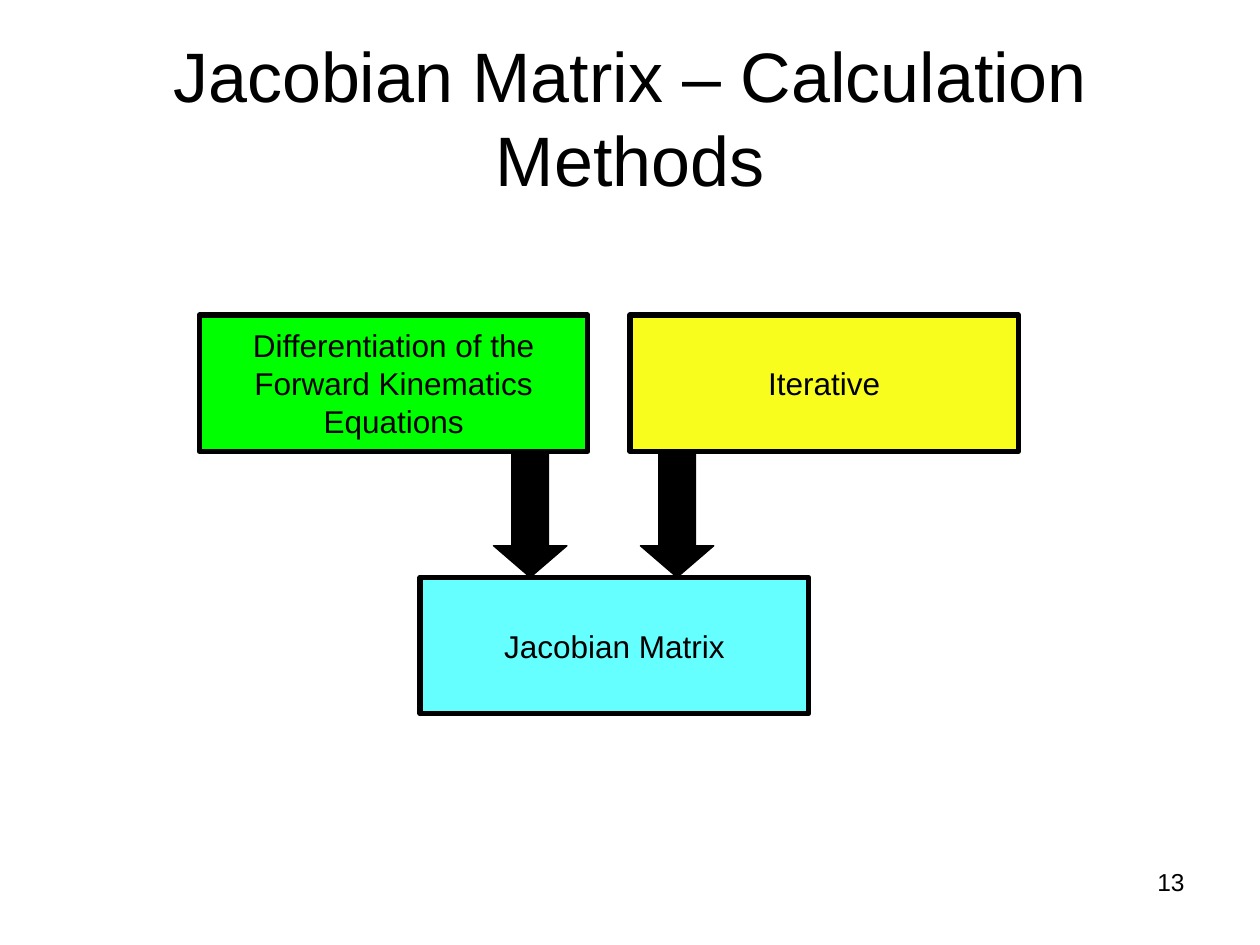
from pptx import Presentation
from pptx.dml.color import RGBColor
from pptx.enum.shapes import MSO_SHAPE
from pptx.enum.text import MSO_ANCHOR, PP_ALIGN
from pptx.util import Cm, Pt

BLACK = RGBColor(0x00, 0x00, 0x00)
GREEN = RGBColor(0x00, 0xFF, 0x00)
YELLOW = RGBColor(0xF8, 0xFD, 0x1D)
CYAN = RGBColor(0x66, 0xFF, 0xFF)

BOX_WIDTH, BOX_HEIGHT = 7.83, 2.75
ARROW_WIDTH, ARROW_HEIGHT = 1.48, 2.54
METHOD_TOP = 6.35
ARROW_TOP = METHOD_TOP + BOX_HEIGHT
RESULT_TOP = ARROW_TOP + ARROW_HEIGHT

HEADINGS = [
    ("13", (18.21, 17.35, 5.92, 1.32), 14, PP_ALIGN.RIGHT, MSO_ANCHOR.TOP),
    ("Jacobian Matrix – Calculation Methods", (1.27, 0.76, 22.86, 3.18), 40,
     PP_ALIGN.CENTER, MSO_ANCHOR.MIDDLE),
]
BOXES = [
    ("Differentiation of the Forward Kinematics Equations", 4.02, METHOD_TOP, GREEN),
    ("Jacobian Matrix", 8.47, RESULT_TOP, CYAN),
    ("Iterative", 12.7, METHOD_TOP, YELLOW),
]
ARROW_LEFTS = [9.95, 12.91]


def write(holder, text, size, align, anchor):
    frame = holder.text_frame
    frame.word_wrap = True
    frame.vertical_anchor = anchor
    paragraph = frame.paragraphs[0]
    paragraph.text = text
    paragraph.alignment = align
    for name, value in {"name": "Arial", "size": Pt(size)}.items():
        setattr(paragraph.font, name, value)
    paragraph.font.color.rgb = BLACK


def add_block(slide, preset, place, fill, line_width):
    block = slide.shapes.add_shape(preset, *map(Cm, place))
    block.shadow.inherit = False
    block.fill.solid()
    block.fill.fore_color.rgb = fill
    block.line.color.rgb = BLACK
    block.line.width = Pt(line_width)
    return block


def main():
    deck = Presentation()
    deck.slide_width, deck.slide_height = Cm(25.4), Cm(19.05)
    slide = deck.slides.add_slide(deck.slide_layouts[6])

    for text, place, *style in HEADINGS:
        write(slide.shapes.add_textbox(*map(Cm, place)), text, *style)

    for text, left, top, fill in BOXES:
        box = add_block(slide, MSO_SHAPE.RECTANGLE,
                        (left, top, BOX_WIDTH, BOX_HEIGHT), fill, 3)
        write(box, text, 18, PP_ALIGN.CENTER, MSO_ANCHOR.MIDDLE)

    for left in ARROW_LEFTS:
        arrow = add_block(slide, MSO_SHAPE.DOWN_ARROW,
                          (left, ARROW_TOP, ARROW_WIDTH, ARROW_HEIGHT), BLACK, 0.75)
        arrow.adjustments[0] = 0.5
        arrow.adjustments[1] = 0.43

    deck.save("out.pptx")


if __name__ == "__main__":
    main()
